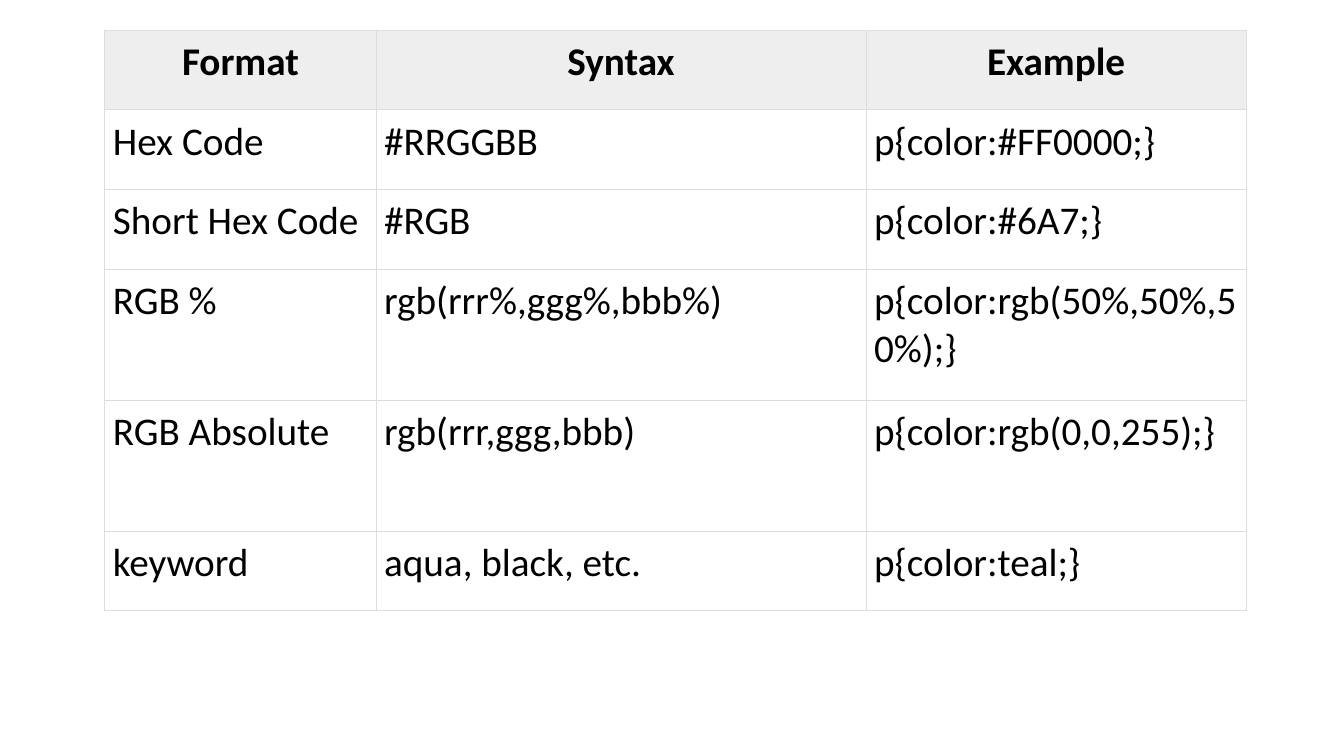
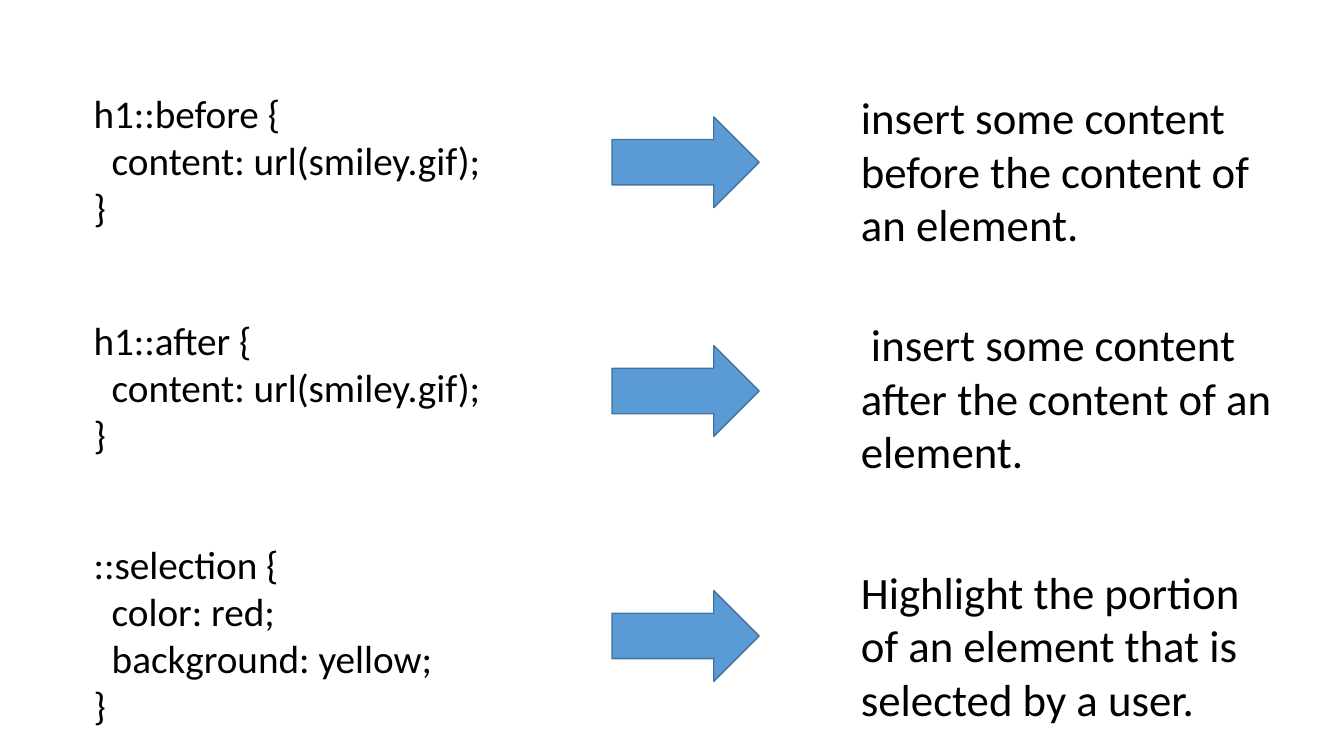
from lxml import etree
from pptx import Presentation
from pptx.dml.color import RGBColor
from pptx.enum.shapes import MSO_SHAPE
from pptx.enum.text import MSO_AUTO_SIZE, PP_ALIGN
from pptx.oxml.ns import qn
from pptx.util import Emu, Pt

RIGHT_ARROW = MSO_SHAPE.RIGHT_ARROW
GROW = MSO_AUTO_SIZE.SHAPE_TO_FIT_TEXT
LEFT, CENTER = PP_ALIGN.LEFT, PP_ALIGN.CENTER

# Shared style: 100 px to the inch
EMU_PER_PX = 9144
FONT = "Calibri"
CODE_SIZE, NOTE_SIZE = 28, 32
CODE_INDENT = 18
COLORS = {
    "text": "000000",
    "header": "EEEEEE",
    "border": "DDDDDD",
    "arrow": "5B9BD5",
    "arrow_line": "43739E",
}

# Colour format table
COLUMN_WIDTHS = [269, 486, 377]
ROW_HEIGHTS = [79, 79, 79, 130, 130, 79]
COLOR_FORMATS = [
    ("Format", "Syntax", "Example"),
    ("Hex Code", "#RRGGBB", "p{color:#FF0000;}"),
    ("Short Hex Code", "#RGB", "p{color:#6A7;}"),
    ("RGB %", "rgb(rrr%,ggg%,bbb%)", "p{color:rgb(50%,50%,50%);}"),
    ("RGB Absolute", "rgb(rrr,ggg,bbb)", "p{color:rgb(0,0,255);}"),
    ("keyword", "aqua, black, etc.", "p{color:teal;}"),
]

# Pseudo-elements: selector, declarations, code top, code height,
# arrow top, note, note top, note width
PSEUDO_ELEMENTS = [
    ("h1::before", ["content: url(smiley.gif);"], 84, 151, 116,
     "insert some content before the content of an element.", 84, 448),
    ("h1::after", ["content: url(smiley.gif);"], 309, 151, 343,
     " insert some content after the content of an element.", 309, 460),
    ("::selection", ["color: red;", "background: yellow;"], 531, 199, 586,
     "Highlight the portion of an element that is selected by a user.", 555, 432),
]


def px(length):
    return Emu(length * EMU_PER_PX)


def color(name):
    return RGBColor.from_string(COLORS[name])


def write(paragraph, text, size, bold=False, align=LEFT):
    paragraph.text = text
    paragraph.alignment = align
    font = paragraph.font
    font.name, font.size, font.bold = FONT, Pt(size), bold
    font.color.rgb = color("text")


def add_text(slide, left, top, width, height, lines, size):
    """Add a text box; each line is a (text, indent) pair."""
    box = slide.shapes.add_textbox(px(left), px(top), px(width), px(height))
    frame = box.text_frame
    frame.word_wrap = True
    frame.auto_size = GROW
    for index, (text, indent) in enumerate(lines):
        paragraph = frame.add_paragraph() if index else frame.paragraphs[0]
        write(paragraph, text, size)
        if indent:
            paragraph._p.get_or_add_pPr().set("marL", str(px(indent)))


def add_arrow(slide, left, top, width, height):
    arrow = slide.shapes.add_shape(RIGHT_ARROW, px(left), px(top), px(width), px(height))
    arrow.shadow.inherit = False
    arrow.fill.solid()
    arrow.fill.fore_color.rgb = color("arrow")
    arrow.line.color.rgb = color("arrow_line")
    arrow.line.width = Pt(1)


def add_borders(cell):
    properties = cell._tc.get_or_add_tcPr()
    for side in ("lnL", "lnR", "lnT", "lnB"):
        line = etree.SubElement(properties, qn(f"a:{side}"), w=str(Pt(0.75)))
        fill = etree.SubElement(line, qn("a:solidFill"))
        etree.SubElement(fill, qn("a:srgbClr"), val=COLORS["border"])


def format_cell(cell, text, is_header):
    cell.margin_left = cell.margin_right = px(8)
    cell.margin_top = cell.margin_bottom = px(8)
    add_borders(cell)
    if is_header:
        cell.fill.solid()
        cell.fill.fore_color.rgb = color("header")
    else:
        cell.fill.background()
    write(cell.text_frame.paragraphs[0], text, CODE_SIZE,
          bold=is_header, align=CENTER if is_header else LEFT)


def add_table(slide, left, top, rows):
    frame = slide.shapes.add_table(
        len(rows), len(COLUMN_WIDTHS), px(left), px(top),
        px(sum(COLUMN_WIDTHS)), px(sum(ROW_HEIGHTS)))
    table = frame.table
    table.first_row = table.horz_banding = False
    for column, width in zip(table.columns, COLUMN_WIDTHS):
        column.width = px(width)
    for row_index, (row, height) in enumerate(zip(table.rows, ROW_HEIGHTS)):
        row.height = px(height)
        for cell, text in zip(row.cells, rows[row_index]):
            format_cell(cell, text, is_header=row_index == 0)


def add_pseudo_element(slide, selector, declarations, code_top, code_height,
                       arrow_top, note, note_top, note_width):
    code = [(f"{selector} {{", 0)]
    code += [(declaration, CODE_INDENT) for declaration in declarations]
    code.append(("}", 0))
    add_text(slide, 83, code_top, 468, code_height, code, CODE_SIZE)
    add_arrow(slide, 607, arrow_top, 146, 90)
    add_text(slide, 844, note_top, note_width, 172, [(note, 0)], NOTE_SIZE)


def main():
    presentation = Presentation()
    presentation.slide_width, presentation.slide_height = px(1333), px(750)
    blank = presentation.slide_layouts[6]

    # Slide 1: colour formats
    add_table(presentation.slides.add_slide(blank), 104, 30, COLOR_FORMATS)

    # Slide 2: pseudo-elements
    slide = presentation.slides.add_slide(blank)
    for pseudo_element in PSEUDO_ELEMENTS:
        add_pseudo_element(slide, *pseudo_element)

    presentation.save("out.pptx")


if __name__ == "__main__":
    main()
